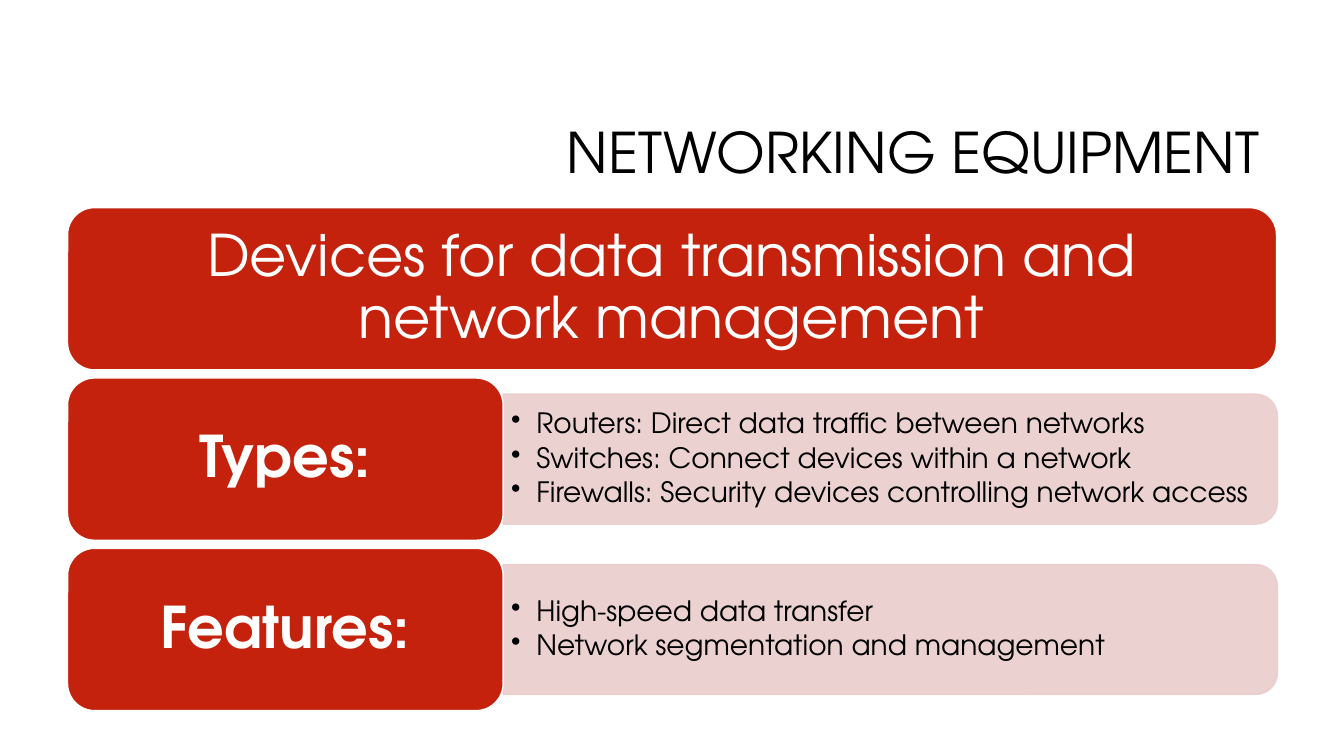
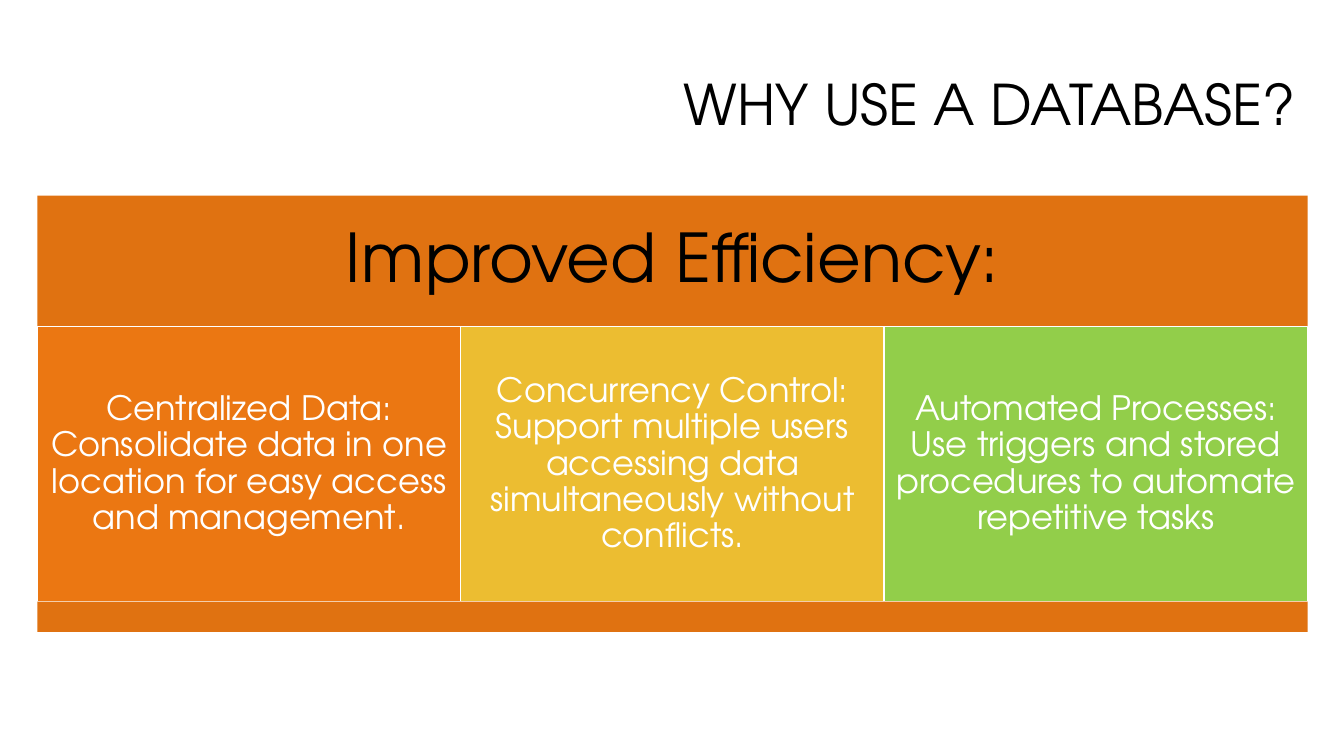
import pptx
import pptx.util
import pptx.dml.color
import pptx.enum.shapes
import pptx.enum.text
import pptx.oxml
import pptx.oxml.ns

Inches = pptx.util.Inches
Pt = pptx.util.Pt
SHAPE = pptx.enum.shapes.MSO_SHAPE
ALIGN = pptx.enum.text.PP_ALIGN

COLORS = {
    "black": "000000",
    "white": "FFFFFF",
    "red": "C4220D",
    "pink": "EACDCC",
    "rust": "E07211",
    "orange": "EB7712",
    "yellow": "ECBD31",
    "green": "92CE4A",
}


class Deck:
    font = "TeX Gyre Adventor"

    def __init__(self):
        self.prs = pptx.Presentation()
        self.prs.slide_width = Inches(13.33)
        self.prs.slide_height = Inches(7.5)
        self.s = None

    def rgb(self, name):
        return pptx.dml.color.RGBColor.from_string(COLORS[name])

    def set_text(self, tf, text, size, color, align, inset, bold=False):
        tf.word_wrap = True
        tf.auto_size = pptx.enum.text.MSO_AUTO_SIZE.NONE
        tf.vertical_anchor = pptx.enum.text.MSO_ANCHOR.MIDDLE
        tf.margin_left = tf.margin_right = Inches(inset[0])
        tf.margin_top = tf.margin_bottom = Inches(inset[1])
        tf.text = text
        for p in tf.paragraphs:
            p.alignment = align
            p.line_spacing = 0.9
            for r in p.runs:
                r.font.name = self.font
                r.font.size = Pt(size)
                r.font.bold = bold
                r.font.color.rgb = self.rgb(color)

    def slide(self, title, x, y, w, h):
        self.s = self.prs.slides.add_slide(self.prs.slide_layouts[5])
        sp = self.s.shapes.title
        sp.left, sp.top, sp.width, sp.height = map(Inches, (x, y, w, h))
        self.set_text(sp.text_frame, title, 40, "black", ALIGN.RIGHT, (0.1, 0.05))

    def box(self, kind, x, y, w, h, fill, line=None):
        sp = self.s.shapes.add_shape(kind, *map(Inches, (x, y, w, h)))
        sp.shadow.inherit = False
        sp.fill.solid()
        sp.fill.fore_color.rgb = self.rgb(fill)
        if line:
            sp.line.color.rgb = self.rgb(line)
            sp.line.width = Pt(1)
        else:
            sp.line.fill.background()
        return sp

    def card(self, text, x, y, w, h, bold=False):
        sp = self.box(SHAPE.ROUNDED_RECTANGLE, x, y, w, h, "red", "white")
        self.set_text(sp.text_frame, text, 41, "white", ALIGN.CENTER, (0.17, 0.09), bold)

    def panel(self, x, y, w, h):
        sp = self.box(SHAPE.ROUND_2_SAME_RECTANGLE, x + (w - h) / 2, y + (h - w) / 2,
                      h, w, "pink", "pink")
        sp.rotation = 90
        for clr in sp._element.spPr.iter(pptx.oxml.ns.qn("a:srgbClr")):
            alpha = pptx.oxml.parse_xml(
                "<a:alpha %s val='90000'/>" % pptx.oxml.ns.nsdecls("a"))
            clr.append(alpha)

    def bullets(self, items, x, y, w, h):
        tb = self.s.shapes.add_textbox(*map(Inches, (x, y, w, h)))
        tf = tb.text_frame
        self.set_text(tf, "\n".join(items), 20, "black", ALIGN.LEFT, (0.08, 0.04))
        for p in tf.paragraphs:
            pPr = p._p.get_or_add_pPr()
            pPr.set("marL", str(Inches(0.25)))
            pPr.set("indent", str(Inches(-0.25)))
            pPr.append(pptx.oxml.parse_xml(
                "<a:buChar %s char='•'/>" % pptx.oxml.ns.nsdecls("a")))
        for p in tf.paragraphs[:-1]:
            p.space_after = Pt(3)

    def block(self, text, x, y, w, h, fill, size, color, inset, line=None):
        sp = self.box(SHAPE.RECTANGLE, x, y, w, h, fill, line)
        self.set_text(sp.text_frame, text, size, color, ALIGN.CENTER, (inset, inset))


def networking(deck):
    deck.slide("NETWORKING EQUIPMENT", 3.17, 0.84, 9.42, 1.41)
    left, top, card_w, card_h, pitch = 0.67, 2.06, 4.32, 1.61, 1.69
    panel_x, panel_w, panel_h, text_h = left + card_w, 7.68, 1.29, 1.16
    deck.card("Devices for data transmission and network management",
              left, top, 11.99, card_h)
    rows = [
        ("Types:", ["Routers: Direct data traffic between networks",
                    "Switches: Connect devices within a network",
                    "Firewalls: Security devices controlling network access"]),
        ("Features:", ["High-speed data transfer",
                       "Network segmentation and management"]),
    ]
    for i, (name, items) in enumerate(rows, 1):
        y = top + i * pitch
        mid = y + card_h / 2
        deck.panel(panel_x, mid - panel_h / 2, panel_w, panel_h)
        deck.bullets(items, panel_x, mid - text_h / 2, 7.62, text_h)
        deck.card(name, left, y, card_w, card_h, bold=True)


def database(deck):
    deck.slide("WHY USE A DATABASE?", 0.95, 0.3, 12, 1.53)
    left, top, width, head_h, body_h = 0.37, 1.94, 12.6, 1.3, 2.73
    deck.block("Improved Efficiency:", left, top, width, head_h,
               "rust", 48, "black", 0.2)
    columns = [
        ("Centralized Data: Consolidate data in one location for easy access "
         "and management.", "orange"),
        ("Concurrency Control: Support multiple users accessing data "
         "simultaneously without conflicts.", "yellow"),
        ("Automated Processes: Use triggers and stored procedures to automate "
         "repetitive tasks", "green"),
    ]
    col_w = width / len(columns)
    for i, (text, fill) in enumerate(columns):
        deck.block(text, left + i * col_w, top + head_h, col_w, body_h,
                   fill, 24, "white", 0.1, "white")
    deck.box(SHAPE.RECTANGLE, left, top + head_h + body_h, width, 0.3, "rust")


def main():
    deck = Deck()
    networking(deck)
    database(deck)
    deck.prs.save("out.pptx")


if __name__ == "__main__":
    main()
